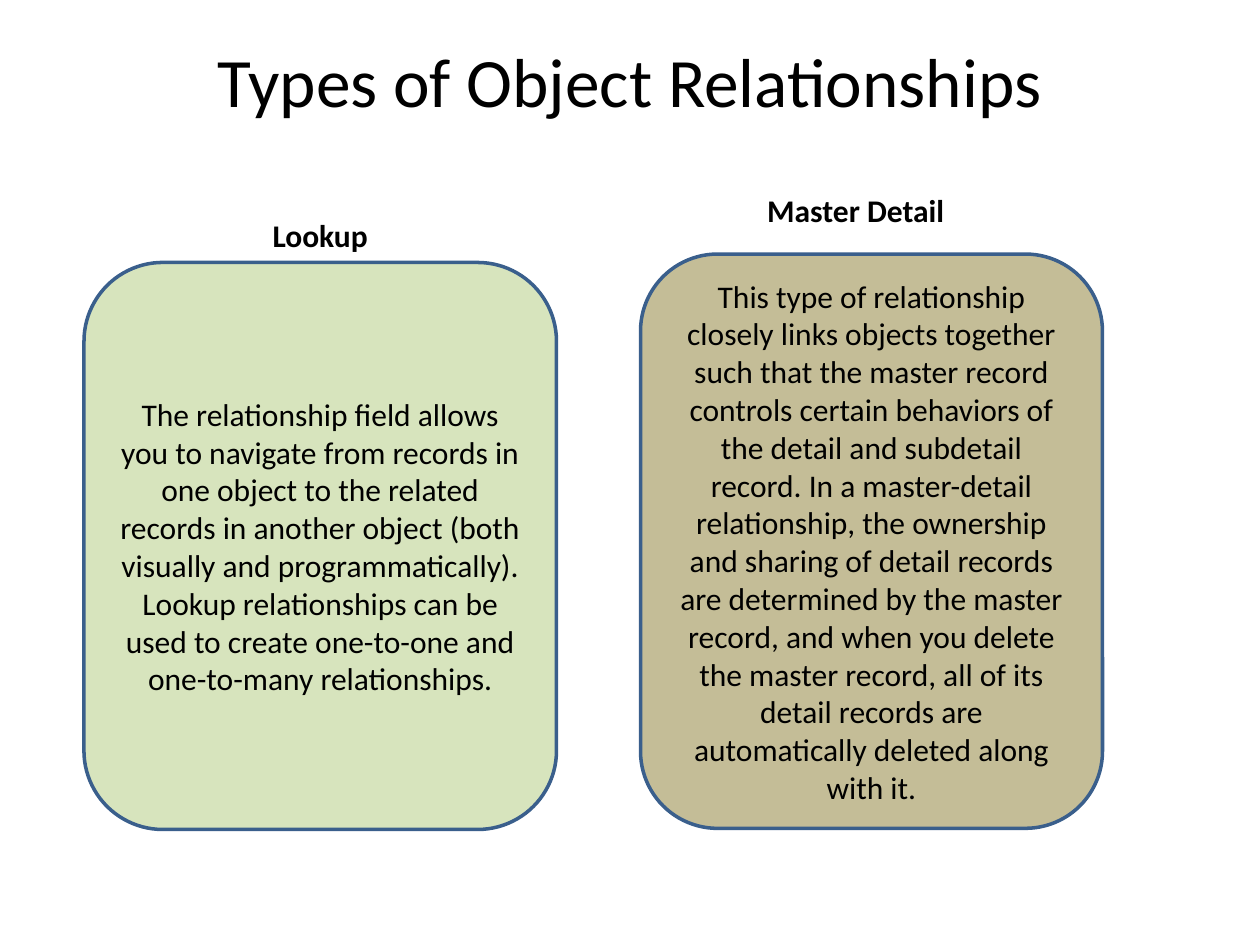
"""Build a slide comparing lookup and master-detail object relationships."""
from pptx import Presentation
from pptx.dml.color import RGBColor
from pptx.enum.shapes import MSO_SHAPE as Shape
from pptx.enum.text import MSO_ANCHOR as Anchor, PP_ALIGN as Align
from pptx.util import Pt

PX = 7620
BLACK = RGBColor(0x00, 0x00, 0x00)
GREEN = RGBColor(0xD7, 0xE4, 0xBD)
TAN = RGBColor(0xC4, 0xBD, 0x97)
BLUE = RGBColor(0x3A, 0x5F, 0x8C)

LOOKUP = (
    "The relationship field allows you to navigate from records in one object "
    "to the related records in another object (both visually and "
    "programmatically). Lookup relationships can be used to create one-to-one "
    "and one-to-many relationships."
)
MASTER_DETAIL = (
    "This type of relationship closely links objects together such that the "
    "master record controls certain behaviors of the detail and subdetail "
    "record. In a master-detail relationship, the ownership and sharing of "
    "detail records are determined by the master record, and when you delete "
    "the master record, all of its detail records are automatically deleted "
    "along with it."
)


def to_emu(*lengths):
    return [length * PX for length in lengths]


def write(box, text, anchor=Anchor.TOP, **font):
    frame = box.text_frame
    frame.word_wrap = True
    frame.vertical_anchor = anchor
    para = frame.paragraphs[0]
    para.alignment = Align.CENTER
    span = para.add_run()
    span.text = text
    for name, value in {"name": "Calibri", "size": Pt(18), **font}.items():
        setattr(span.font, name, value)
    span.font.color.rgb = BLACK


deck = Presentation()
deck.slide_width, deck.slide_height = to_emu(1200, 900)
page = deck.slides.add_slide(deck.slide_layouts[6])

title = page.shapes.add_textbox(*to_emu(60, 36, 1080, 150))
title.text_frame.margin_top = 0
write(title, "Types of Object Relationships", size=Pt(39.6))

panels = [
    ((80, 250, 450, 540), GREEN, LOOKUP),
    ((610, 242, 440, 547), TAN, MASTER_DETAIL),
]
for place, fill, text in panels:
    panel = page.shapes.add_shape(Shape.ROUNDED_RECTANGLE, *to_emu(*place))
    panel.shadow.inherit = False
    panel.fill.solid()
    panel.fill.fore_color.rgb = fill
    panel.line.color.rgb = BLUE
    panel.line.width = Pt(2)
    write(panel, text, Anchor.MIDDLE)

for left, top, text in [(180, 200, "Lookup"), (690, 176, "Master Detail")]:
    heading = page.shapes.add_textbox(*to_emu(left, top, 250, 48))
    write(heading, text, bold=True)

deck.save("out.pptx")
